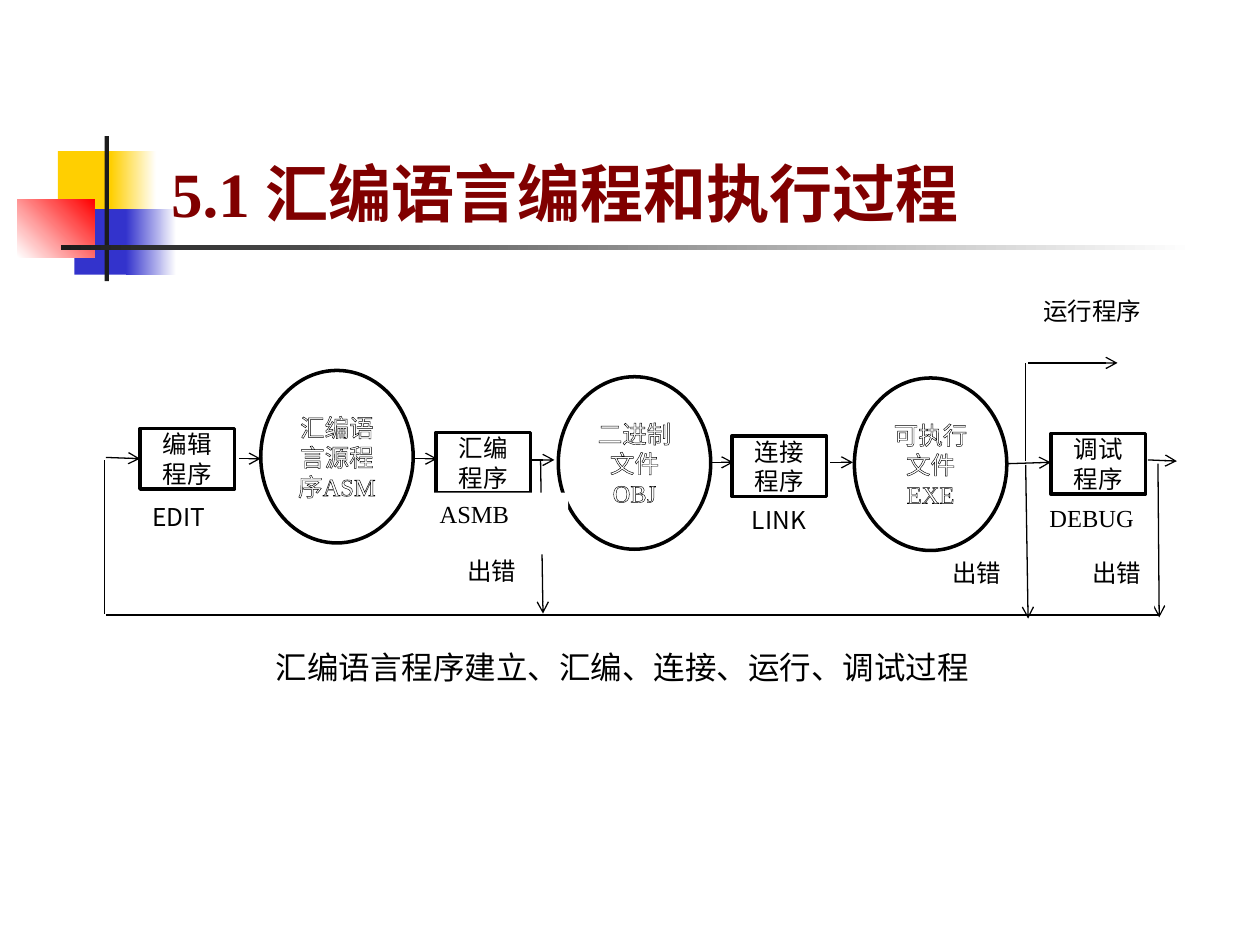
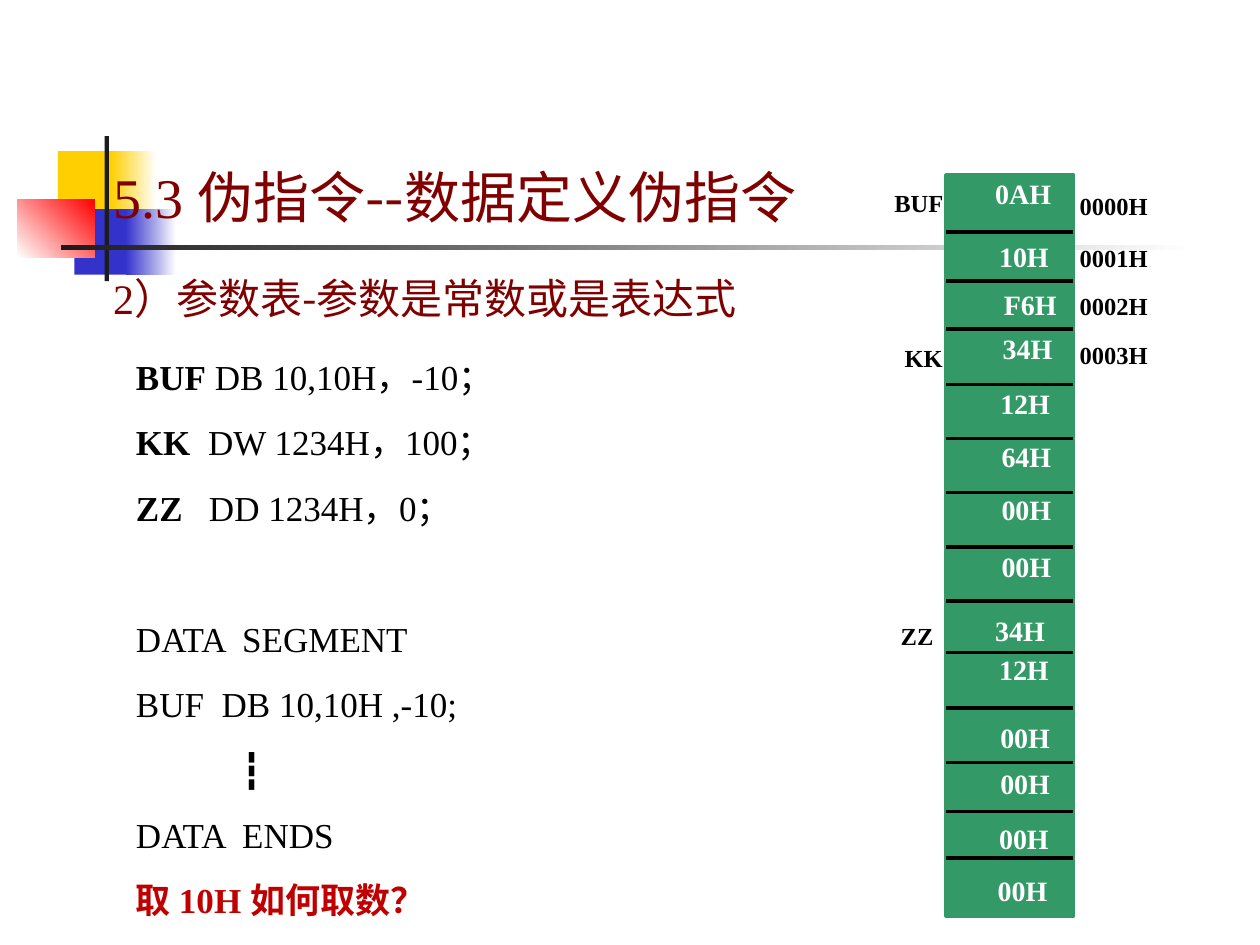
from dataclasses import dataclass

from lxml import etree
from pptx import Presentation
from pptx.dml.color import RGBColor
from pptx.enum.shapes import MSO_CONNECTOR, MSO_SHAPE
from pptx.enum.text import MSO_ANCHOR, PP_ALIGN
from pptx.oxml.ns import qn
from pptx.util import Pt

RECT = MSO_SHAPE.RECTANGLE
PROCESS = MSO_SHAPE.FLOWCHART_PROCESS
FILE = MSO_SHAPE.FLOWCHART_CONNECTOR
STRAIGHT = MSO_CONNECTOR.STRAIGHT
TOP, MIDDLE, BOTTOM = MSO_ANCHOR.TOP, MSO_ANCHOR.MIDDLE, MSO_ANCHOR.BOTTOM
LEFT, CENTER = PP_ALIGN.LEFT, PP_ALIGN.CENTER


@dataclass(frozen=True)
class Theme:
    serif: str = "Times New Roman"
    sans: str = "Noto Sans CJK SC"
    black: str = "000000"
    white: str = "FFFFFF"
    maroon: str = "800000"
    crimson: str = "C00000"
    yellow: str = "FFCF01"
    blue: str = "3333CC"
    red: str = "FF0000"
    charcoal: str = "1C1C1C"
    green: str = "339966"
    title: float = 36
    section: float = 32
    subtitle: float = 24
    code: float = 20
    caption: float = 18
    cell: float = 16
    label: float = 14
    thin: float = 0.75
    thick: float = 2
    flow_leading: float = 16.9
    code_leading: float = 32.4


T = Theme()

# Decoration on every slide: (left, top, width, height), colours, gradient angle
ORNAMENTS = [
    ((33.1, 86.4, 34.6, 37.4), (T.yellow,), 0),
    ((63.4, 86.4, 25.9, 37.4), (T.yellow, T.white), 0),
    ((42.5, 119.5, 33.1, 37.4), (T.blue,), 0),
    ((72, 119.5, 28.8, 37.4), (T.blue, T.white), 0),
    ((10, 113.8, 44, 33.1), (T.white, T.red), 45),
    ((59.8, 77.8, 2.5, 82.8), (T.charcoal,), 0),
    ((34.8, 140.2, 648, 2.5), (T.charcoal, T.white), 0),
]

# Slide 1
FLOW_TITLE = "5.1 汇编语言编程和执行过程"
FLOW_CAPTION = "汇编语言程序建立、汇编、连接、运行、调试过程"
PROCESS_SIZE = (54, 34.6)
PROCESSES = [
    (80, 244.8, "编辑"),
    (249.1, 247, "汇编"),
    (418.3, 249.1, "连接"),
    (600.5, 247.7, "调试"),
]
PROCESS_SUFFIX = "程序"
FILE_SIZE = (87.1, 98.6)
FILES = [
    (149, 211.7, "汇编语言源程序", "ASM"),
    (319, 215.3, "二进制文件", "OBJ"),
    (488.2, 216, "可执行文件", "EXE"),
]
ARROWS = [  # x1, y1, x2, y2
    (136.8, 262.1, 149, 262.1),
    (236.9, 262.1, 249.8, 262.1),
    (303.8, 262.8, 316.8, 262.8),
    (406.8, 264.2, 419, 264.2),
    (474.5, 264.2, 487.4, 264.2),
    (575.3, 265, 600.5, 264.2),
    (655.9, 262.8, 672.5, 263.5),
    (661.7, 265, 662.4, 352.8),
    (60.5, 261.4, 80, 262.1),
    (308.9, 262.8, 310.3, 350.6),
    (586.1, 265.7, 587.5, 353.5),
    (587.5, 207.4, 638.6, 207.4),
]
PLAIN_LINES = [
    (662.4, 351.4, 60.5, 351.4),
    (59.8, 350.6, 59.8, 262.8),
    (586.1, 263.5, 586.1, 207.4),
]
FLOW_LABELS = [  # left, top, width, text, font
    (617, 315.4, 42.5, "出错", T.sans),
    (80, 283, 55.4, "EDIT", T.sans),
    (244.1, 281.5, 80.6, "ASMB", T.serif),
    (422.6, 285.1, 49, "LINK", T.sans),
    (592.6, 283.7, 67.7, "DEBUG", T.serif),
    (537.1, 315.4, 42.5, "出错", T.sans),
    (260, 314, 42.5, "出错", T.sans),
    (589, 165.6, 77, "运行程序", T.sans),
]
LABEL_HEIGHT = 35.3

# Slide 2
SECTION = [("5.3 ", T.serif), ("伪指令--数据定义伪指令", T.sans)]
SUBTITLE = [("2）", T.serif), ("参数表-参数是常数或是表达式", T.sans)]
DEFINITIONS = [
    ("BUF", " DB 10,10H，-10；"),
    ("KK", "  DW 1234H，100；"),
    ("ZZ", "   DD 1234H，0；"),
]
SEGMENT = [
    "DATA  SEGMENT",
    "BUF  DB 10,10H ,-10;",
    "            ┇",
    "DATA  ENDS",
]
QUESTION = "取 10H 如何取数？"
CODE_BEFORE, CODE_AFTER = 4, 1
CODE_PITCH = T.code_leading + CODE_BEFORE + CODE_AFTER

MEMORY = (540.7, 100.1, 72.7, 423.4)
MEMORY_CELLS = [  # value, left, top
    ("0AH", 561.6, 97.2), ("10H", 563.8, 133.2), ("F6H", 566.6, 160.6),
    ("34H", 565.9, 185.8), ("12H", 564.5, 217.4), ("64H", 565.2, 247.7),
    ("00H", 565.2, 277.9), ("00H", 565.2, 310.3), ("34H", 561.6, 347),
    ("12H", 563.8, 369.4), ("00H", 564.5, 408.2), ("00H", 564.5, 434.2),
    ("00H", 563.8, 465.8), ("00H", 563, 495.4),
]
MEMORY_RULES = [132.5, 160.6, 187.9, 219.6, 250.6, 281.5, 312.5,
                343.4, 373, 404.6, 435.6, 463.7, 490.3]
MEMORY_LABELS = [
    ("BUF", 504, 103.7), ("KK", 509.8, 192.2), ("ZZ", 507.6, 351.4),
    ("0000H", 609.8, 105.8), ("0001H", 609.8, 135.4),
    ("0002H", 609.8, 162.7), ("0003H", 609.8, 190.8),
]


def rgb(color):
    return RGBColor.from_string(color)


def add_run(paragraph, text, size, color=T.black, font=T.serif,
            bold=False, outline=None):
    """Add a run whose Latin letters use font; Chinese is always sans."""
    run = paragraph.add_run()
    run.text = text
    run.font.size = Pt(size)
    run.font.bold = bold
    run.font.name = font
    run.font.color.rgb = rgb(color)
    props = run.font._element
    props.set("lang", "zh-CN")
    east_asian = etree.Element(qn("a:ea"), typeface=T.sans)
    props.find(qn("a:latin")).addnext(east_asian)
    if outline:
        line = etree.Element(qn("a:ln"), w=str(Pt(T.thin)))
        fill = etree.SubElement(line, qn("a:solidFill"))
        etree.SubElement(fill, qn("a:srgbClr"), val=outline)
        props.insert(0, line)


def add_block(slide, kind, box, colors, angle=0, line=None):
    """Draw a preset shape, with a gradient when two colours are given."""
    shape = slide.shapes.add_shape(kind, *map(Pt, box))
    shape.shadow.inherit = False
    if len(colors) == 2:
        shape.fill.gradient()
        shape.fill.gradient_angle = angle
        for stop, color in zip(shape.fill.gradient_stops, colors):
            stop.color.rgb = rgb(color)
    else:
        shape.fill.solid()
        shape.fill.fore_color.rgb = rgb(colors[0])
    if line:
        shape.line.color.rgb = rgb(line)
        shape.line.width = Pt(T.thick)
    else:
        shape.line.fill.background()
    return shape


def add_line(slide, ends, width=T.thin, arrow=False):
    line = slide.shapes.add_connector(STRAIGHT, *map(Pt, ends))
    line.line.color.rgb = rgb(T.black)
    line.line.width = Pt(width)
    if arrow:
        outline = line.line._get_or_add_ln()
        etree.SubElement(outline, qn("a:tailEnd"), type="arrow")
    etree.SubElement(line._element.spPr, qn("a:effectLst"))


def set_frame(shape, anchor, align, leading=None):
    """Prepare a shape's text and return its first paragraph."""
    frame = shape.text_frame
    frame.word_wrap = True
    frame.vertical_anchor = anchor
    return style_paragraph(frame.paragraphs[0], align, leading)


def style_paragraph(paragraph, align, leading):
    paragraph.alignment = align
    if leading:
        paragraph.line_spacing = leading
    return paragraph


def add_text(slide, box, anchor=TOP):
    text_box = slide.shapes.add_textbox(*map(Pt, box))
    return text_box, set_frame(text_box, anchor, LEFT)


def add_base_slide(deck):
    slide = deck.slides.add_slide(deck.slide_layouts[6])
    for box, colors, angle in ORNAMENTS:
        add_block(slide, RECT, box, colors, angle)
    return slide


def add_heading(slide, box, runs, size, bold=False):
    _, paragraph = add_text(slide, box, BOTTOM)
    for text, font in runs:
        add_run(paragraph, text, size, T.maroon, font, bold)


def build_flow_slide(deck):
    slide = add_base_slide(deck)
    add_heading(slide, (90.7, 19.7, 613.4, 115.2),
                [(FLOW_TITLE, T.serif)], T.title, bold=True)
    add_block(slide, RECT, (48.2, 162, 624.2, 203.8), (T.white,))
    leading = Pt(T.flow_leading)

    for left, top, action in PROCESSES:
        step = add_block(slide, PROCESS, (left, top, *PROCESS_SIZE),
                         (T.white,), line=T.black)
        first = set_frame(step, MIDDLE, CENTER, leading)
        second = style_paragraph(step.text_frame.add_paragraph(), CENTER, leading)
        add_run(first, action, T.label, font=T.sans)
        add_run(second, PROCESS_SUFFIX, T.label, font=T.sans)

    for left, top, description, extension in FILES:
        file = add_block(slide, FILE, (left, top, *FILE_SIZE),
                         (T.white,), line=T.black)
        paragraph = set_frame(file, MIDDLE, CENTER, leading)
        for text in (description, extension):
            add_run(paragraph, text, T.label, T.white, outline=T.black)

    for ends in ARROWS:
        add_line(slide, ends, arrow=True)
    for ends in PLAIN_LINES:
        add_line(slide, ends)

    for left, top, width, text, font in FLOW_LABELS:
        label = add_block(slide, RECT, (left, top, width, LABEL_HEIGHT), (T.white,))
        add_run(set_frame(label, TOP, LEFT, leading), text, T.label, font=font)

    _, caption = add_text(slide, (150.5, 366.9, 439.2, 28.8))
    add_run(caption, FLOW_CAPTION, T.caption)


def add_code(slide):
    lines = [[(name, T.black, True), (rest, T.black, False)]
             for name, rest in DEFINITIONS]
    lines += [[(text, T.black, False)] for text in SEGMENT]
    lines.append([(QUESTION, T.crimson, True)])

    box, paragraph = add_text(slide, (70.6, 191.2, 294.5, 340))
    for index, runs in enumerate(lines):
        if index:
            paragraph = box.text_frame.add_paragraph()
            gap = CODE_PITCH if index == len(DEFINITIONS) else 0
            paragraph.space_before = Pt(CODE_BEFORE + gap)
        paragraph.space_after = Pt(CODE_AFTER)
        paragraph.line_spacing = Pt(T.code_leading)
        for text, color, bold in runs:
            add_run(paragraph, text, T.code, color, bold=bold)


def add_memory(slide):
    add_block(slide, RECT, MEMORY, (T.green,), line=T.green)
    left, _, width, _ = MEMORY
    for y in MEMORY_RULES:
        add_line(slide, (left, y, left + width, y), T.thick)
    for entries, size, color in ((MEMORY_CELLS, T.cell, T.white),
                                 (MEMORY_LABELS, T.label, T.black)):
        for text, x, y in entries:
            _, paragraph = add_text(slide, (x, y, 68, 26))
            add_run(paragraph, text, size, color, bold=True)


def build_data_slide(deck):
    slide = add_base_slide(deck)
    add_heading(slide, (57.6, 145.4, 662.4, 42.5), SUBTITLE, T.subtitle)
    add_code(slide)
    add_heading(slide, (57.6, 67, 575.3, 67.7), SECTION, T.section)
    add_memory(slide)


def main():
    deck = Presentation()
    deck.slide_width, deck.slide_height = Pt(720), Pt(540)
    build_flow_slide(deck)
    build_data_slide(deck)
    deck.save("out.pptx")


if __name__ == "__main__":
    main()
